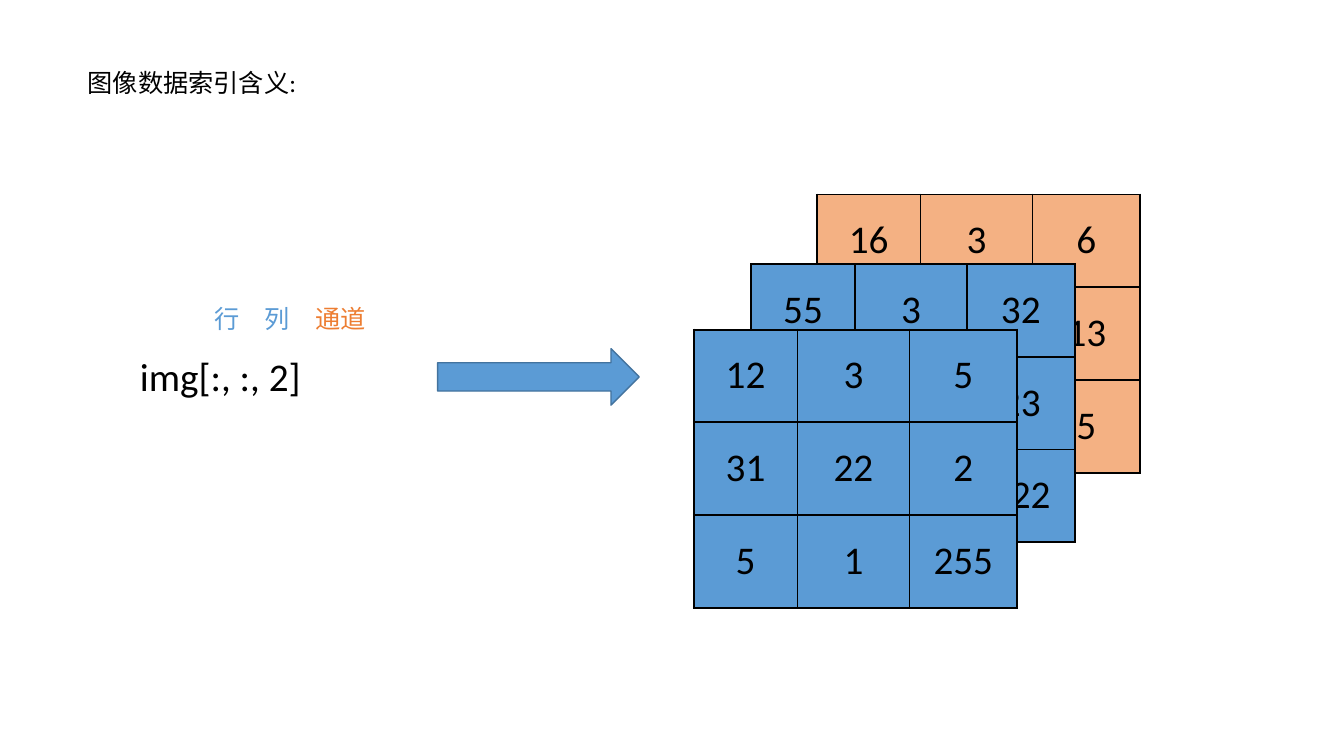
from lxml import etree
from pptx import Presentation
from pptx.dml.color import RGBColor
from pptx.enum.shapes import MSO_SHAPE as Preset
from pptx.enum.text import MSO_ANCHOR as Anchor, MSO_AUTO_SIZE as AutoSize, PP_ALIGN as Align
from pptx.oxml.ns import qn
from pptx.util import Inches, Pt

BLACK = RGBColor(0x00, 0x00, 0x00)
BLUE = RGBColor(0x5B, 0x9B, 0xD5)
DARK_BLUE = RGBColor(0x43, 0x73, 0x9E)
ORANGE = RGBColor(0xED, 0x7D, 0x31)
PEACH = RGBColor(0xF4, 0xB1, 0x83)


def add_span(para, text, size, color):
    span = para.add_run()
    span.text = text
    font_format = {"name": "Calibri", "size": Pt(size), "bold": False}
    for name, value in font_format.items():
        setattr(span.font, name, value)
    span.font.color.rgb = color


def add_borders(cell):
    props = cell._tc.get_or_add_tcPr()
    for position, side in enumerate(("lnL", "lnR", "lnT", "lnB")):
        border = etree.Element(qn(f"a:{side}"), w=str(Pt(1.5)))
        fill = etree.SubElement(border, qn("a:solidFill"))
        etree.SubElement(fill, qn("a:srgbClr"), val=str(BLACK))
        props.insert(position, border)


deck = Presentation()
deck.slide_width, deck.slide_height = Inches(13.33), Inches(7.5)
slide = deck.slides.add_slide(deck.slide_layouts[5])

# Channel matrices, from back to front
channels = [
    (8.1, 1.93, PEACH, [(16, 3, 6), (88, 255, 13), (98, 0, 5)]),
    (7.45, 2.62, BLUE, [(55, 3, 32), (13, 267, 23), (1, 12, 122)]),
    (6.88, 3.27, BLUE, [(12, 3, 5), (31, 22, 2), (5, 1, 255)]),
]
column_widths = (1.03, 1.11, 1.07)
row_height = 0.92
for left, top, color, values in channels:
    frame = slide.shapes.add_table(3, 3, Inches(left), Inches(top),
                                   Inches(sum(column_widths)), Inches(3 * row_height))
    matrix = frame.table
    matrix.first_row = matrix.horz_banding = False
    for column, width in zip(matrix.columns, column_widths):
        column.width = Inches(width)
    for row, numbers in zip(matrix.rows, values):
        row.height = Inches(row_height)
        for cell, number in zip(row.cells, numbers):
            cell.fill.solid()
            cell.fill.fore_color.rgb = color
            add_borders(cell)
            cell.vertical_anchor = Anchor.MIDDLE
            para = cell.text_frame.paragraphs[0]
            para.alignment = Align.CENTER
            para.line_spacing = 0.9
            add_span(para, str(number), 28, BLACK)

# Arrow from the index expression to the matrices
arrow = slide.shapes.add_shape(Preset.RIGHT_ARROW, Inches(4.34), Inches(3.46),
                               Inches(2), Inches(0.56))
arrow.shadow.inherit = False
arrow.fill.solid()
arrow.fill.fore_color.rgb = BLUE
arrow.line.color.rgb = DARK_BLUE
arrow.line.width = Pt(1)

# Title, index expression and axis labels
title = slide.shapes.title
expression = slide.shapes.add_textbox(0, 0, 0, 0)
axis_labels = slide.shapes.add_textbox(0, 0, 0, 0)
texts = [
    (title, (0.77, 0.62, 6.57, 0.4), 18, [("图像数据索引含义:", BLACK)]),
    (expression, (1.29, 3.45, 2.77, 0.57), 28, [("img[:, :, 2]", BLACK)]),
    (axis_labels, (2.03, 2.96, 2.3, 0.4), 18, [("行\u3000列\u3000", BLUE), ("通道", ORANGE)]),
]
frame_format = {"word_wrap": True, "auto_size": AutoSize.SHAPE_TO_FIT_TEXT,
                "vertical_anchor": Anchor.TOP}
for box, place, size, spans in texts:
    for name, value in zip(("left", "top", "width", "height"), place):
        setattr(box, name, Inches(value))
    for name, value in frame_format.items():
        setattr(box.text_frame, name, value)
    para = box.text_frame.paragraphs[0]
    para.alignment = Align.LEFT
    for text, color in spans:
        add_span(para, text, size, color)

deck.save("out.pptx")
